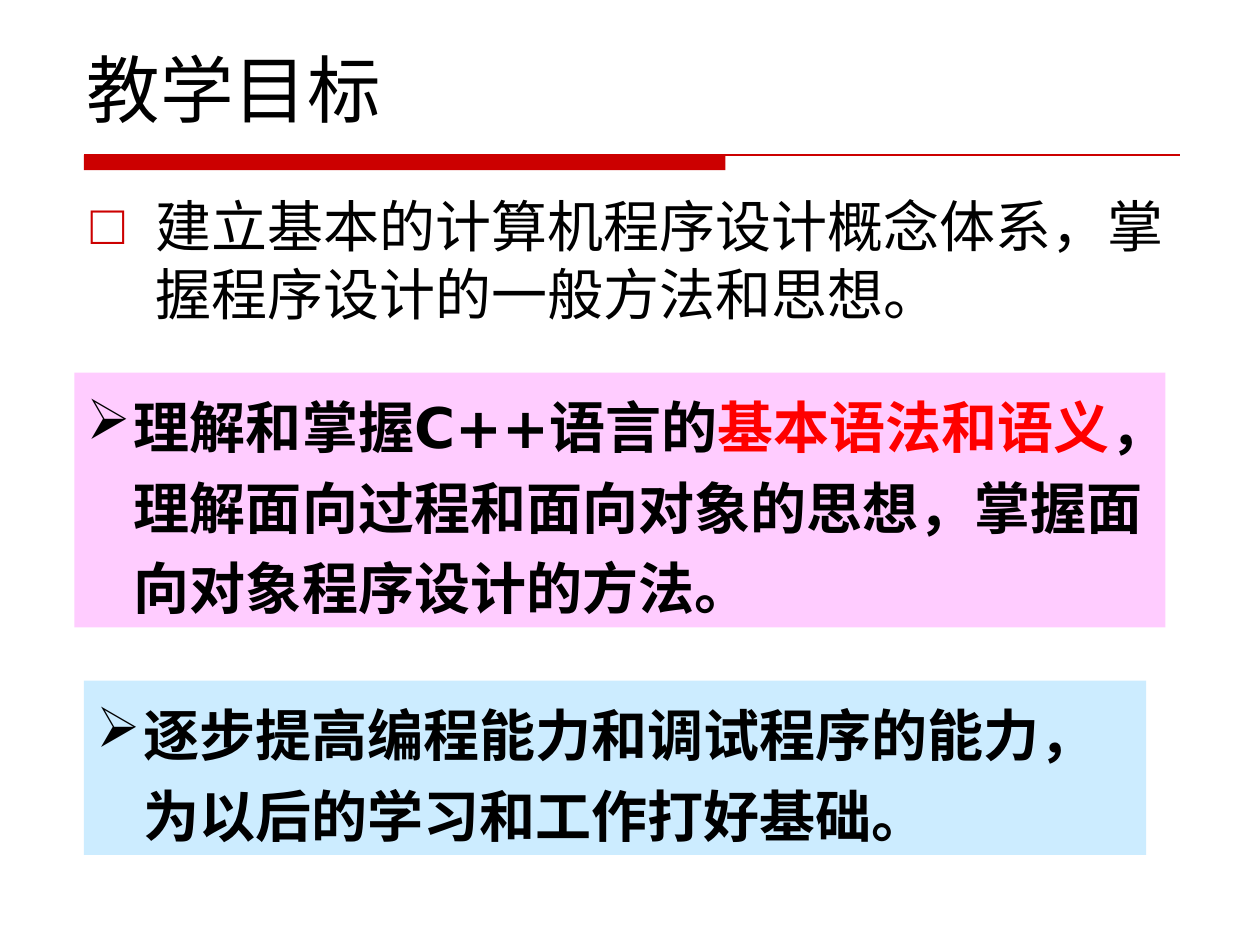
from lxml.etree import SubElement
from pptx import Presentation
from pptx.dml.color import RGBColor
from pptx.enum.shapes import MSO_CONNECTOR as Connector, MSO_SHAPE as Shape
from pptx.enum.text import MSO_ANCHOR as Anchor, MSO_AUTO_SIZE as AutoSize, PP_ALIGN as Align
from pptx.oxml.ns import qn
from pptx.util import Pt

BLACK = RGBColor(0x00, 0x00, 0x00)
RED = RGBColor(0xFF, 0x00, 0x00)
DARK_RED = RGBColor(0xCC, 0x00, 0x00)
PINK = RGBColor(0xFF, 0xCC, 0xFF)
LIGHT_BLUE = RGBColor(0xCC, 0xEC, 0xFF)

TITLE_FONT = {"name": "Times New Roman", "size": Pt(42), "bold": False}
BODY_FONT = {"name": "Times New Roman", "size": Pt(32), "bold": False}
PANEL_FONT = {"name": "DejaVu Sans", "size": Pt(32), "bold": True}
FRAME_FORMAT = {
    "word_wrap": True, "auto_size": AutoSize.NONE,
    "margin_left": Pt(7.2), "margin_right": Pt(7.2),
    "margin_top": Pt(3.6), "margin_bottom": Pt(3.6),
}


def set_attributes(target, values):
    """Set every attribute of the target from a dict."""
    for name, value in values.items():
        setattr(target, name, value)


def place(shape, box):
    """Move and size a shape to a box given in points."""
    names = ("left", "top", "width", "height")
    set_attributes(shape, {name: Pt(value) for name, value in zip(names, box)})


def write_paragraph(shape, parts, font, anchor=Anchor.TOP, line_spacing=1.0):
    """Fill a shape with one left-aligned paragraph of coloured parts."""
    set_attributes(shape.text_frame, {**FRAME_FORMAT, "vertical_anchor": anchor})
    paragraph = shape.text_frame.paragraphs[0]
    set_attributes(paragraph, {"alignment": Align.LEFT, "space_before": Pt(0),
                               "line_spacing": line_spacing})
    for text, color in parts:
        run = paragraph.add_run()
        run.text = text
        set_attributes(run.font, font)
        run.font.color.rgb = color
    return paragraph


def add_bullet(paragraph, character, color, indent):
    """Give a paragraph a coloured bullet with a hanging indent in points."""
    properties = paragraph._p.get_or_add_pPr()
    properties.set("marL", str(Pt(indent)))
    properties.set("indent", str(-Pt(indent)))
    bullet_color = SubElement(properties, qn("a:buClr"))
    SubElement(bullet_color, qn("a:srgbClr"), val=str(color))
    SubElement(properties, qn("a:buChar"), char=character)


def add_filled_rectangle(slide, box, color):
    """Add a plain rectangle without outline or shadow."""
    left, top, width, height = map(Pt, box)
    shape = slide.shapes.add_shape(Shape.RECTANGLE, left, top, width, height)
    shape.shadow.inherit = False
    shape.fill.solid()
    shape.fill.fore_color.rgb = color
    shape.line.fill.background()
    return shape


def add_title_rule(slide, box, bar_share):
    """Add a thin rule across the box, with a thick bar along its first part."""
    left, top, width, height = box
    add_filled_rectangle(slide, (left, top, width * bar_share, height), DARK_RED)
    rule = slide.shapes.add_connector(
        Connector.STRAIGHT, Pt(left), Pt(top), Pt(left + width), Pt(top))
    rule.line.color.rgb = DARK_RED
    rule.line.width = Pt(0.75)
    SubElement(rule._element.spPr, qn("a:effectLst"))


def fill_title(slide, box, text):
    """Place the title placeholder and write its text."""
    title = slide.shapes.title
    place(title, box)
    write_paragraph(title, [(text, BLACK)], TITLE_FONT, Anchor.BOTTOM)


def fill_body(slide, box, text):
    """Place the body placeholder and write its bulleted goal."""
    body = slide.placeholders[1]
    place(body, box)
    paragraph = write_paragraph(body, [(text, BLACK)], BODY_FONT)
    add_bullet(paragraph, "□", DARK_RED, 37)


def add_goal_panel(slide, box, color, parts):
    """Add a coloured panel holding one bulleted goal."""
    panel = add_filled_rectangle(slide, box, color)
    paragraph = write_paragraph(panel, parts, PANEL_FONT, line_spacing=1.2)
    add_bullet(paragraph, "➢", BLACK, 27)


def main():
    """Build the teaching goals slide and save it."""
    presentation = Presentation()
    set_attributes(presentation, {"slide_width": Pt(720), "slide_height": Pt(540)})
    slide = presentation.slides.add_slide(presentation.slide_layouts[1])
    add_title_rule(slide, (48, 88.5, 626.5, 8.75), 0.585)
    fill_title(slide, (42.5, 26, 630, 53), "教学目标")
    fill_body(slide, (44.6, 106, 630, 113),
              "建立基本的计算机程序设计概念体系，掌握程序设计的一般方法和思想。")
    add_goal_panel(slide, (42.5, 213, 623.5, 145.5), PINK, [
        ("理解和掌握C++语言的", BLACK),
        ("基本语法和语义", RED),
        ("，理解面向过程和面向对象的思想，掌握面向对象程序设计的方法。", BLACK),
    ])
    add_goal_panel(slide, (48, 389, 607, 99.5), LIGHT_BLUE, [
        ("逐步提高编程能力和调试程序的能力，为以后的学习和工作打好基础。", BLACK),
    ])
    presentation.save("out.pptx")


if __name__ == "__main__":
    main()
